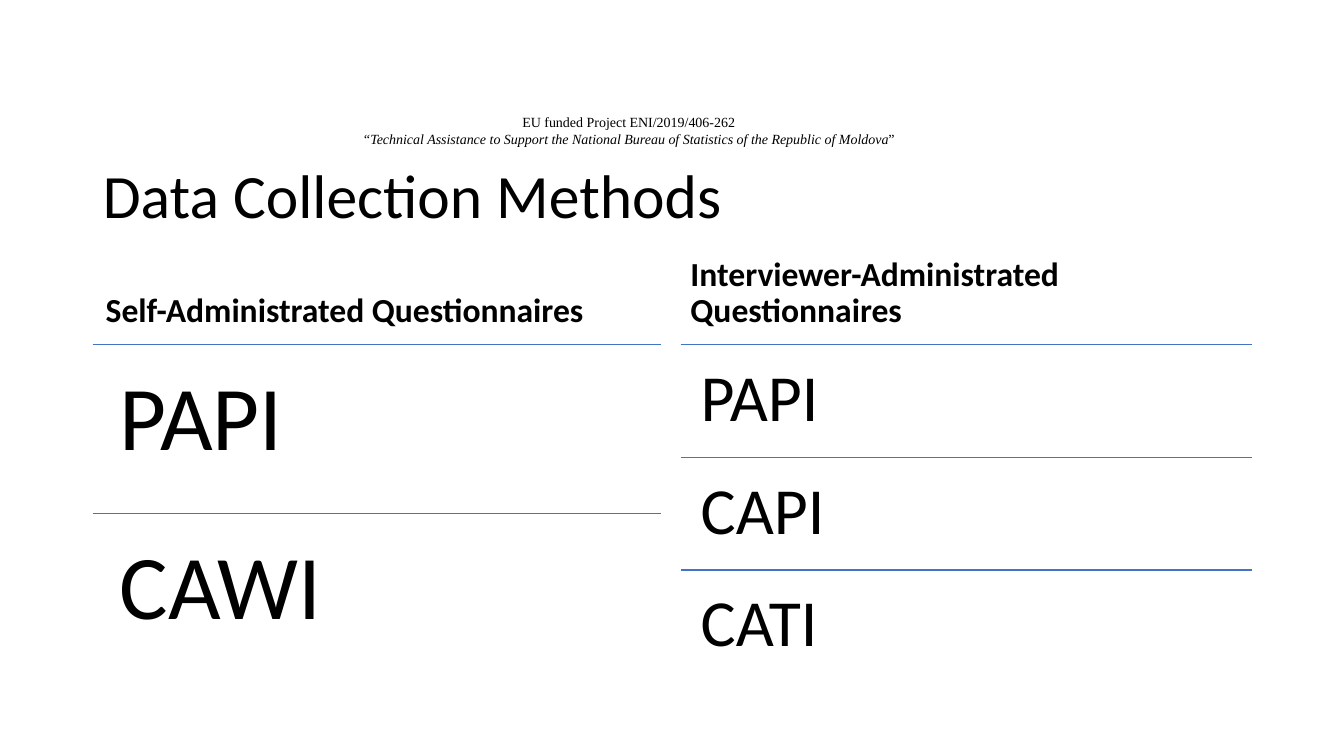
"""Build the Data Collection Methods slide."""
from lxml import etree
from pptx import Presentation
from pptx.dml.color import RGBColor
from pptx.enum.shapes import MSO_CONNECTOR
from pptx.enum.text import MSO_ANCHOR, PP_ALIGN
from pptx.oxml.ns import qn
from pptx.util import Inches, Pt

BLACK = RGBColor(0x00, 0x00, 0x00)
BLUE = RGBColor(0x44, 0x72, 0xC4)
BODY_TOP, BODY_HEIGHT = 3.42, 3.35


def place(sp, box, anchor, inset_x=0.1, inset_y=0.05):
    sp.left, sp.top, sp.width, sp.height = [Inches(v) for v in box]
    frame = {"word_wrap": True, "vertical_anchor": anchor,
             "margin_left": Inches(inset_x), "margin_right": Inches(inset_x),
             "margin_top": Inches(inset_y), "margin_bottom": Inches(inset_y)}
    for name, value in frame.items():
        setattr(sp.text_frame, name, value)
    return sp.text_frame


def write(p, text, size, font="Calibri", align=PP_ALIGN.LEFT, spacing=0.9, **style):
    p.alignment, p.line_spacing = align, spacing
    r = p.add_run()
    r.text = text
    for name, value in {"name": font, "size": Pt(size), **style}.items():
        setattr(r.font, name, value)
    r.font.color.rgb = BLACK


prs = Presentation()
prs.slide_width, prs.slide_height = Inches(13.33), Inches(7.5)
s = prs.slides.add_slide(prs.slide_layouts[5])

tf = place(s.shapes.title, (0.92, 1.52, 11.5, 0.9), MSO_ANCHOR.MIDDLE)
write(tf.paragraphs[0], "Data Collection Methods", 44)

tf = place(s.shapes.add_textbox(0, 0, 0, 0), (2.9, 1.08, 6.67, 0.44), MSO_ANCHOR.TOP)
project_lines = [
    [("EU funded Project ENI/2019/406-262", False)],
    [("“Technical Assistance to Support the National Bureau of Statistics "
      "of the Republic of Moldova", True), ("”", False)],
]
for i, line in enumerate(project_lines):
    p = tf.add_paragraph() if i else tf.paragraphs[0]
    for text, italic in line:
        write(p, text, 10, "Times New Roman", PP_ALIGN.CENTER, 1.0, italic=italic)

columns = [
    ("Self-Administrated Questionnaires", 0.95, 0.92, 5.64, 65, 0.27, ["PAPI", "CAWI"]),
    ("Interviewer-Administrated Questionnaires", 6.75, 6.75, 5.67, 47, 0.2,
     ["PAPI", "CAPI", "CATI"]),
]
for heading, heading_left, left, width, size, inset, methods in columns:
    tf = place(s.shapes.add_textbox(0, 0, 0, 0), (heading_left, 2.42, width, 0.9),
               MSO_ANCHOR.BOTTOM)
    write(tf.paragraphs[0], heading, 24, bold=True)

    row_height = BODY_HEIGHT / len(methods)
    for i, method in enumerate(methods):
        top = BODY_TOP + i * row_height
        rule = s.shapes.add_connector(MSO_CONNECTOR.STRAIGHT, Inches(left), Inches(top),
                                      Inches(left + width), Inches(top))
        rule.line.color.rgb = BLUE
        rule.line.width = Pt(1)
        etree.SubElement(rule.element.spPr, qn("a:effectLst"))
        tf = place(s.shapes.add_textbox(0, 0, 0, 0), (left, top, width, row_height),
                   MSO_ANCHOR.TOP, inset, inset)
        write(tf.paragraphs[0], method, size)

prs.save("out.pptx")
